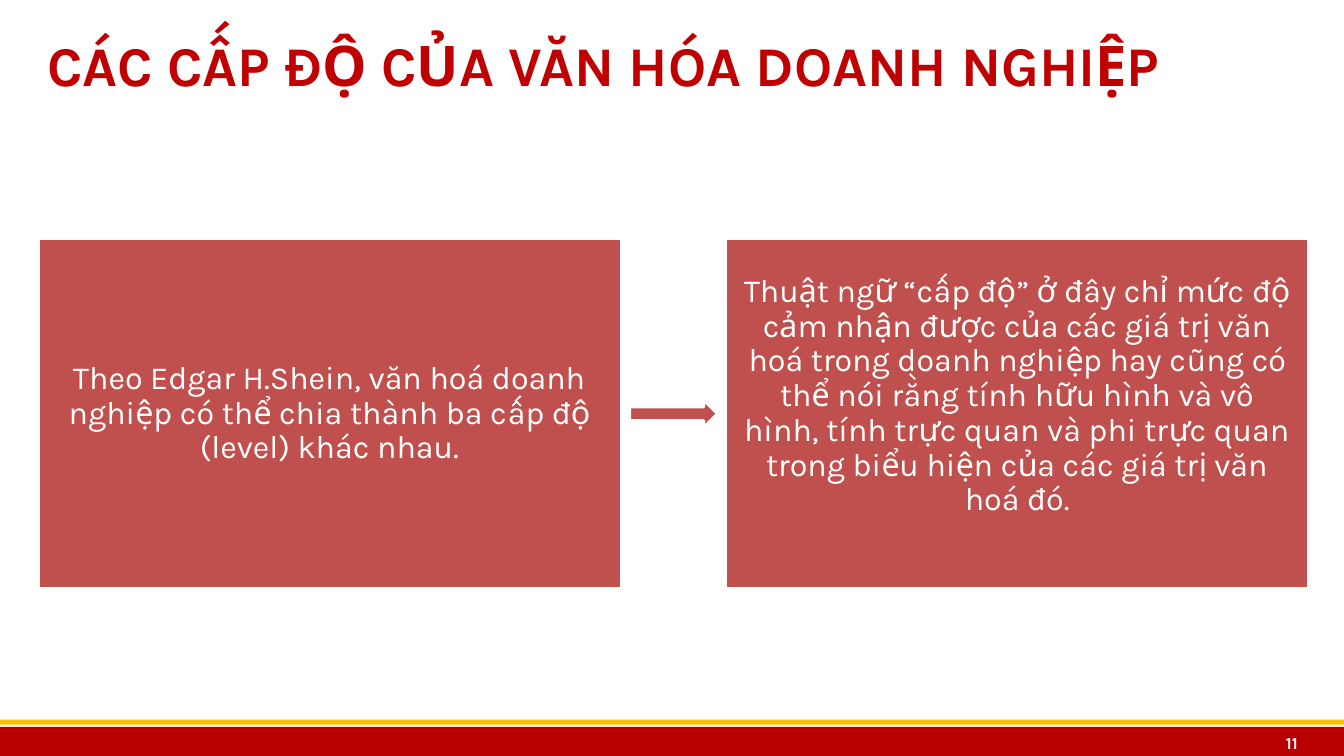
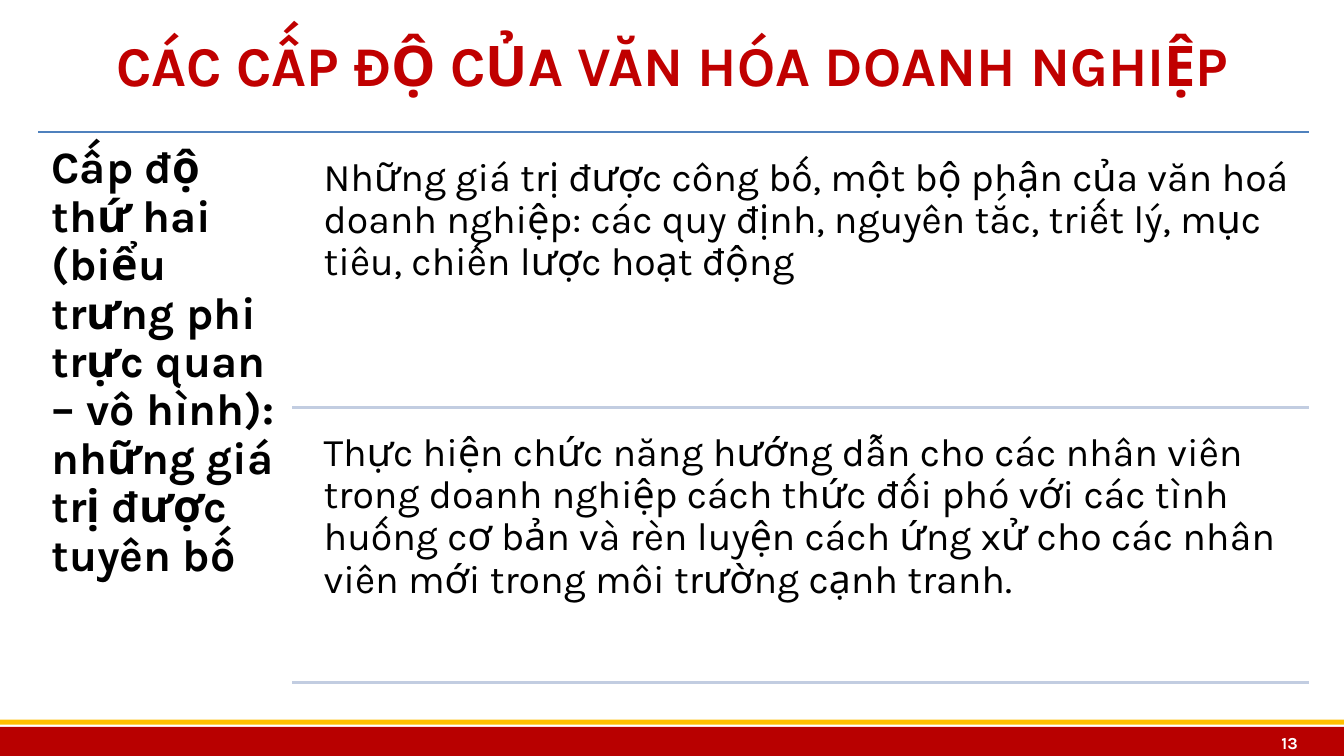
import pptx
import pptx.util
import pptx.dml.color
import pptx.enum.shapes
import pptx.enum.text
import pptx.oxml.ns
import lxml.etree

Inches, Pt = pptx.util.Inches, pptx.util.Pt
SHAPE = pptx.enum.shapes.MSO_SHAPE
ALIGN = pptx.enum.text.PP_ALIGN
ANCHOR = pptx.enum.text.MSO_ANCHOR

FONT = "Karla"
COLORS = {
    "band": "B80000", "stripe": "FFC000", "title": "C00000",
    "box": "C0504D", "white": "FFFFFF", "text": "000000",
    "rule": "4F81BD", "thin_rule": "C2CDE1",
}
TITLE = "CÁC CẤP ĐỘ CỦA VĂN HÓA DOANH NGHIỆP"
BOXES = [
    ("Theo Edgar H.Shein, văn hoá doanh nghiệp có thể chia thành ba cấp độ (level) khác nhau.", 0.17),
    ("Thuật ngữ “cấp độ” ở đây chỉ mức độ cảm nhận được của các giá trị văn hoá trong doanh nghiệp "
     "hay cũng có thể nói rằng tính hữu hình và vô hình, tính trực quan và phi trực quan trong biểu "
     "hiện của các giá trị văn hoá đó.", 0.52),
]
LEVEL = "Cấp độ thứ hai (biểu trưng phi trực quan – vô hình): những giá trị được tuyên bố"
POINTS = [
    "Những giá trị được công bố, một bộ phận của văn hoá doanh nghiệp: các quy định, nguyên tắc, "
    "triết lý, mục tiêu, chiến lược hoạt động",
    "Thực hiện chức năng hướng dẫn cho các nhân viên trong doanh nghiệp cách thức đối phó với các "
    "tình huống cơ bản và rèn luyện cách ứng xử cho các nhân viên mới trong môi trường cạnh tranh.",
]
WIDTH, HEIGHT = 13.33, 7.5
LEFT, RIGHT = 0.38, 12.98


def color(name):
    return pptx.dml.color.RGBColor.from_string(COLORS[name])


def add_block(s, kind, box, fill, line=None):
    sp = s.shapes.add_shape(kind, *map(Inches, box))
    sp.shadow.inherit = False
    sp.fill.solid()
    sp.fill.fore_color.rgb = color(fill)
    if line:
        sp.line.color.rgb = color(line)
        sp.line.width = Pt(2)
    else:
        sp.line.fill.background()
    return sp


def write(sp, text, size, ink, bold=False, align=ALIGN.LEFT, anchor=ANCHOR.TOP,
          insets=(0.1, 0.05, 0.1, 0.05), spacing=None):
    tf = sp.text_frame
    tf.word_wrap = True
    tf.vertical_anchor = anchor
    tf.margin_left, tf.margin_top, tf.margin_right, tf.margin_bottom = map(Inches, insets)
    p = tf.paragraphs[0]
    p.text = text
    p.alignment = align
    p.line_spacing = spacing
    p.font.name, p.font.size, p.font.bold = FONT, Pt(size), bold
    p.font.color.rgb = color(ink)


def add_text(s, box, *args, **kwargs):
    write(s.shapes.add_textbox(*map(Inches, box)), *args, **kwargs)


def add_rule(s, x, y, ink):
    line = s.shapes.add_connector(pptx.enum.shapes.MSO_CONNECTOR.STRAIGHT,
                                  Inches(x), Inches(y), Inches(RIGHT), Inches(y))
    line.line.color.rgb = color(ink)
    line.line.width = Pt(2)
    lxml.etree.SubElement(line._element.spPr, pptx.oxml.ns.qn("a:effectLst"))


def add_slide(prs, number, title_align):
    s = prs.slides.add_slide(prs.slide_layouts[6])
    add_block(s, SHAPE.RECTANGLE, (0, 7.21, WIDTH, HEIGHT - 7.21), "band")
    add_block(s, SHAPE.RECTANGLE, (0, 7.14, WIDTH, 0.05), "stripe")
    add_text(s, (0.37, 0.05, 12.6, 1.18), TITLE, 40, "title", bold=True,
             align=title_align, anchor=ANCHOR.MIDDLE)
    add_text(s, (12.1, 7.21, 0.87, 0.31), str(number), 12, "white", bold=True,
             align=ALIGN.RIGHT, anchor=ANCHOR.MIDDLE, insets=(0.1, 0, 0.1, 0))
    return s


def build_definition(prs):
    s = add_slide(prs, 11, ALIGN.LEFT)
    top, w, h = 2.37, 5.78, 3.47
    arrow_w, arrow_h = 0.87, 0.27
    for x, (text, bottom) in zip((LEFT, RIGHT - w), BOXES):
        sp = add_block(s, SHAPE.RECTANGLE, (x, top, w, h), "box", "white")
        write(sp, text, 23, "white", align=ALIGN.CENTER, anchor=ANCHOR.MIDDLE,
              insets=(0.17, 0.17, 0.17, bottom), spacing=0.9)
    arrow = ((LEFT + RIGHT - arrow_w) / 2, top + (h - arrow_h) / 2, arrow_w, arrow_h)
    add_block(s, SHAPE.RIGHT_ARROW, arrow, "box", "white")


def build_second_level(prs):
    s = add_slide(prs, 13, ALIGN.CENTER)
    top, label_w, row_h, gap = 1.31, 2.52, 2.6, 0.13
    text_x = 3.09
    add_rule(s, LEFT, top, "rule")
    add_text(s, (LEFT, top, label_w, 5.59), LEVEL, 32, "text", bold=True,
             insets=(0.13,) * 4, spacing=0.9)
    for i, point in enumerate(POINTS):
        y = top + gap + i * (row_h + gap)
        add_text(s, (text_x, y, RIGHT - text_x, row_h), point, 28, "text",
                 insets=(0.12,) * 4, spacing=0.9)
        add_rule(s, LEFT + label_w, y + row_h, "thin_rule")


def main():
    prs = pptx.Presentation()
    prs.slide_width, prs.slide_height = Inches(WIDTH), Inches(HEIGHT)
    build_definition(prs)
    build_second_level(prs)
    prs.save("out.pptx")


if __name__ == "__main__":
    main()
